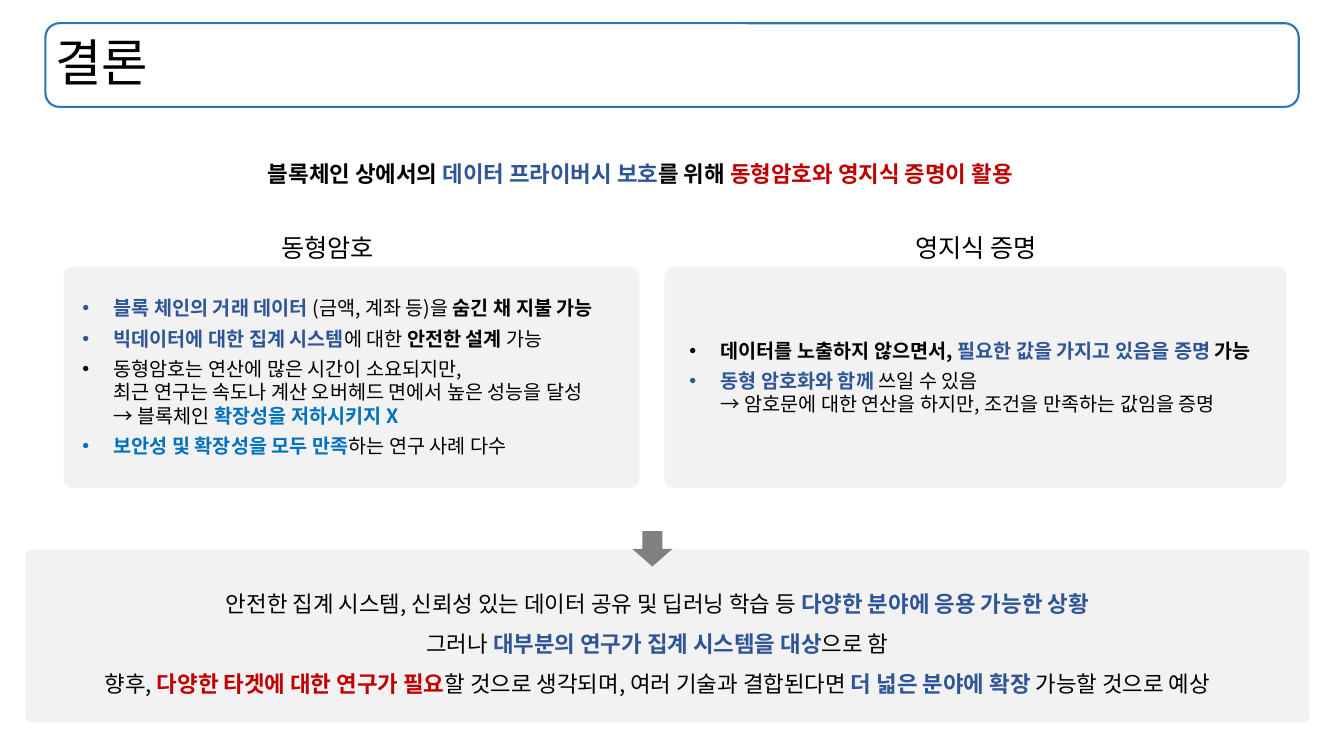
from dataclasses import dataclass

from lxml import etree
from pptx import Presentation
from pptx.dml.color import RGBColor
from pptx.enum.shapes import MSO_SHAPE
from pptx.enum.text import MSO_ANCHOR, PP_ALIGN
from pptx.oxml.ns import qn
from pptx.util import Inches, Pt

ROUNDED, DOWN_ARROW = MSO_SHAPE.ROUNDED_RECTANGLE, MSO_SHAPE.DOWN_ARROW
LEFT, CENTER = PP_ALIGN.LEFT, PP_ALIGN.CENTER
TOP, MIDDLE = MSO_ANCHOR.TOP, MSO_ANCHOR.MIDDLE
WIDTH, HEIGHT = Inches(13.33), Inches(7.5)


@dataclass(frozen=True)
class Theme:
    black: str = "000000"
    blue: str = "2F5597"
    sky: str = "0070C0"
    red: str = "C00000"
    panel: str = "F2F2F2"
    arrow: str = "808080"
    frame: str = "2E75B6"
    body_font: str = "Noto Sans CJK KR"
    title_font: str = "Arial"
    heading_font: str = "Calibri"
    title: int = 36
    heading: int = 18
    message: int = 16
    bullet: int = 14


T = Theme()

# Run styles: (colour, bold)
PLAIN, BOLD = (T.black, False), (T.black, True)
BLUE, SKY, RED = (T.blue, True), (T.sky, True), (T.red, True)

# Boxes: left, top, width, height in percent of the slide
TITLE_BOX = (3.38, 3.07, 93.25, 11.07)
HEADLINE_BOX = (19.2, 20.53, 61.67, 4.93)
SUMMARY_PANEL = (1.88, 72.67, 95.57, 22.93)
SUMMARY_TEXT = (2.48, 75.6, 92.87, 16.93)
ARROW_BOX = (47.04, 70.27, 3, 4.67)
CARD_TOP, CARD_HEIGHT = 35.33, 29.2
HEADING_TOP, HEADING_WIDTH, HEADING_HEIGHT = 30.13, 11.7, 5.33

HEADLINE = [[("블록체인 상에서의 ", BOLD), ("데이터 프라이버시 보호", BLUE),
             ("를 위해 ", BOLD), ("동형암호와 영지식 증명이 활용", RED)]]

CARDS = [
    dict(left=4.73, width=42.84, heading="동형암호", heading_left=18.53,
         text_box=(5.4, 38.53, 44.11, 22.93), bullets=[
             [("블록 체인의 거래 데이터 ", BLUE), ("(금액, 계좌 등)을 ", PLAIN),
              ("숨긴 채 지불 가능", BOLD)],
             [("빅데이터에 대한 집계 시스템", BLUE), ("에 대한 ", PLAIN),
              ("안전한 설계 ", BOLD), ("가능", PLAIN)],
             [("동형암호는 연산에 많은 시간이 소요되지만,\n"
               "최근 연구는 속도나 계산 오버헤드 면에서 높은 성능을 달성\n"
               "→ 블록체인 ", PLAIN), ("확장성을 저하시키지 X", SKY)],
             [("보안성 및 확장성을 모두 만족", SKY), ("하는 연구 사례 다수", PLAIN)],
         ]),
    dict(left=49.44, width=46.29, heading="영지식 증명", heading_left=66.77,
         text_box=(50.56, 44.13, 44.49, 11.73), bullets=[
             [("데이터를 노출하지 않으면서, ", BOLD),
              ("필요한 값을 가지고 있음을 증명 ", BLUE), ("가능", BOLD)],
             [("동형 암호화와 함께", BLUE),
              (" 쓰일 수 있음\n"
               "→ 암호문에 대한 연산을 하지만, 조건을 만족하는 값임을 증명", PLAIN)],
         ]),
]

SUMMARY = [
    [("안전한 집계 시스템, 신뢰성 있는 데이터 공유 및 딥러닝 학습 등 ", PLAIN),
     ("다양한 분야에 응용 가능한 상황", BLUE)],
    [("그러나 ", PLAIN), ("대부분의 연구가 집계 시스템을 대상", BLUE), ("으로 함", PLAIN)],
    [("향후, ", PLAIN), ("다양한 타겟에 대한 연구가 필요", RED),
     ("할 것으로 생각되며, 여러 기술과 결합된다면 ", PLAIN),
     ("더 넓은 분야에 확장", BLUE), (" 가능할 것으로 예상", PLAIN)],
]


def place(box):
    """Turn percentages of the slide into lengths."""
    return [int(share * side / 100)
            for share, side in zip(box, (WIDTH, HEIGHT, WIDTH, HEIGHT))]


def add_panel(s, kind, box, fill=None, line=None, corner=None):
    sp = s.shapes.add_shape(kind, *place(box))
    sp.shadow.inherit = False
    if fill:
        sp.fill.solid()
        sp.fill.fore_color.rgb = RGBColor.from_string(fill)
    else:
        sp.fill.background()
    if line:
        sp.line.color.rgb = RGBColor.from_string(line)
        sp.line.width = Pt(1.5)
    else:
        sp.line.fill.background()
    if corner is not None:
        sp.adjustments[0] = corner
    return sp


def add_bullet(p):
    pPr = p._p.get_or_add_pPr()
    indent = Inches(0.31)
    pPr.set("marL", str(indent))
    pPr.set("indent", str(-indent))
    font = etree.SubElement(pPr, qn("a:buFont"))
    font.set("typeface", "Arial")
    etree.SubElement(pPr, qn("a:buChar")).set("char", "•")


def add_run(p, text, size, font, style):
    r = p.add_run()
    r.text = text
    colour, bold = style
    formats = {"size": Pt(size), "name": font, "bold": bold}
    for name, value in formats.items():
        setattr(r.font, name, value)
    r.font.color.rgb = RGBColor.from_string(colour)
    east_asian = etree.SubElement(r._r.get_or_add_rPr(), qn("a:ea"))
    east_asian.set("typeface", T.body_font)


def write(sp, paragraphs, size, font=T.body_font, align=LEFT, anchor=TOP,
          spacing=None, gap=0, bullets=False):
    tf = sp.text_frame
    tf.word_wrap = True
    tf.vertical_anchor = anchor
    for i, runs in enumerate(paragraphs):
        p = tf.add_paragraph() if i else tf.paragraphs[0]
        formats = {"alignment": align, "line_spacing": spacing,
                   "space_before": Pt(gap if i else 0)}
        for name, value in formats.items():
            setattr(p, name, value)
        if bullets:
            add_bullet(p)
        for text, style in runs:
            for n, part in enumerate(text.split("\n")):
                if n:
                    p.add_line_break()
                add_run(p, part, size, font, style)


def add_text(s, box, paragraphs, size, **layout):
    write(s.shapes.add_textbox(*place(box)), paragraphs, size, **layout)


def add_card(s, card):
    """Heading above a grey panel with a bullet list."""
    add_panel(s, ROUNDED, (card["left"], CARD_TOP, card["width"], CARD_HEIGHT),
              fill=T.panel, corner=0.041)
    add_text(s, (card["heading_left"], HEADING_TOP, HEADING_WIDTH, HEADING_HEIGHT),
             [[(card["heading"], PLAIN)]], T.heading,
             font=T.heading_font, align=CENTER)
    add_text(s, card["text_box"], card["bullets"], T.bullet, gap=4.8, bullets=True)


def main():
    prs = Presentation()
    prs.slide_width, prs.slide_height = WIDTH, HEIGHT
    s = prs.slides.add_slide(prs.slide_layouts[6])

    # Title and headline
    title = add_panel(s, ROUNDED, TITLE_BOX, line=T.frame)
    title.text_frame.margin_left = Inches(0.06)
    write(title, [[("결론", PLAIN)]], T.title, font=T.title_font,
          anchor=MIDDLE, spacing=0.9)
    add_text(s, HEADLINE_BOX, HEADLINE, T.message)

    # Two technologies side by side
    for card in CARDS:
        add_card(s, card)

    # Summary with the arrow leading into it
    add_panel(s, ROUNDED, SUMMARY_PANEL, fill=T.panel, corner=0.041)
    add_text(s, SUMMARY_TEXT, SUMMARY, T.message, align=CENTER, spacing=1.5)
    add_panel(s, DOWN_ARROW, ARROW_BOX, fill=T.arrow)

    prs.save("out.pptx")


if __name__ == "__main__":
    main()
